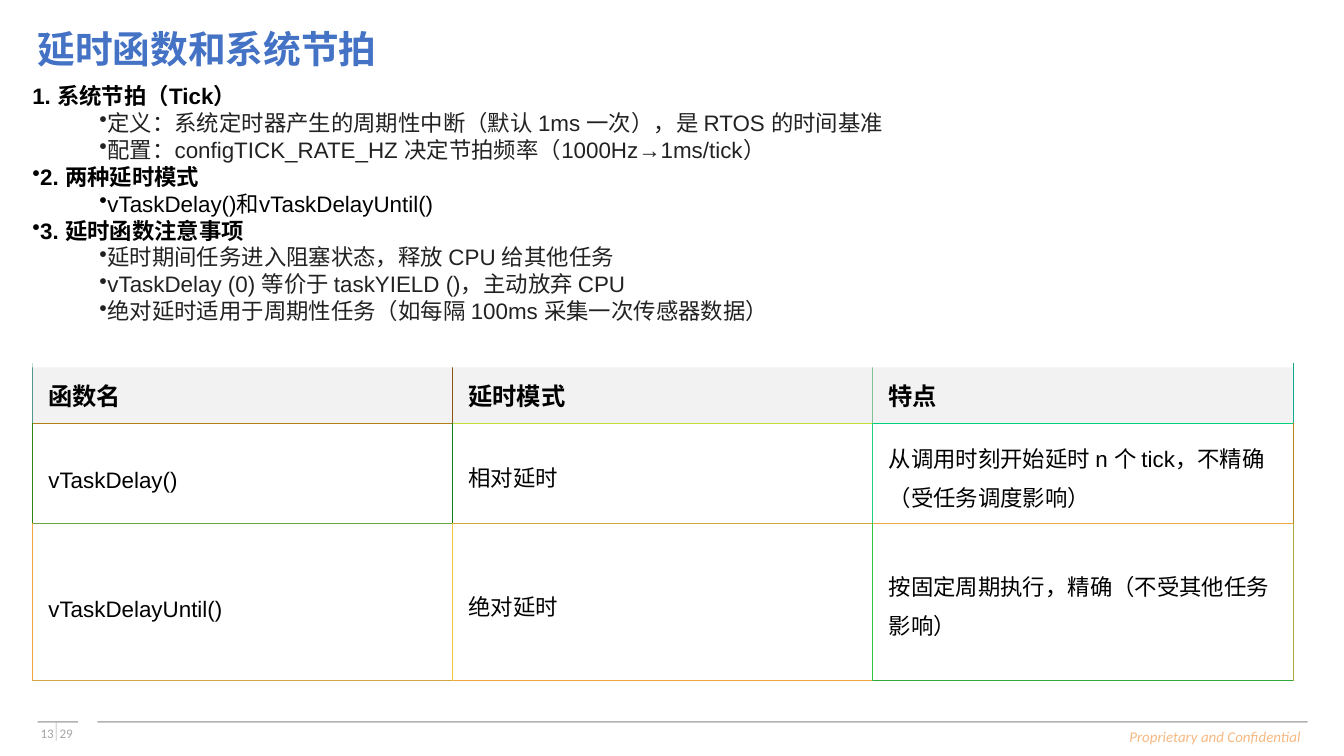
from collections import namedtuple

from lxml.etree import SubElement
from pptx import Presentation
from pptx.dml.color import RGBColor
from pptx.enum.shapes import MSO_SHAPE
from pptx.enum.text import MSO_ANCHOR, PP_ALIGN
from pptx.oxml.ns import qn
from pptx.util import Inches, Pt

Box = namedtuple("Box", "left top width height")
SLIDE = Box(0, 0, Inches(10), Inches(5.625))
HEADING = {"name": "Arial", "size": Pt(12), "bold": True, "color": "000000"}
PLAIN = {**HEADING, "bold": False}
DETAIL = {**PLAIN, "color": "222222"}
TITLE = {**HEADING, "size": Pt(20.2), "color": "4472C4"}
TABLE_HEAD = {**HEADING, "size": Pt(13)}
PAGE_NUMBER = {"name": "Calibri", "size": Pt(7), "color": "A6A6A6"}
NOTICE = {"name": "Calibri", "size": Pt(8), "italic": True, "color": "F6B982"}

OUTLINE = [
    ("1. 系统节拍（Tick）", 0, False, HEADING),
    ("定义：系统定时器产生的周期性中断（默认 1ms 一次），是 RTOS 的时间基准", 1, True, DETAIL),
    ("配置：configTICK_RATE_HZ 决定节拍频率（1000Hz→1ms/tick）", 1, True, DETAIL),
    ("2. 两种延时模式", 0, True, HEADING),
    ("vTaskDelay()和vTaskDelayUntil()", 1, True, PLAIN),
    ("3. 延时函数注意事项", 0, True, HEADING),
    ("延时期间任务进入阻塞状态，释放 CPU 给其他任务", 1, True, DETAIL),
    ("vTaskDelay (0) 等价于 taskYIELD ()，主动放弃 CPU", 1, True, DETAIL),
    ("绝对延时适用于周期性任务（如每隔 100ms 采集一次传感器数据）", 1, True, DETAIL),
]
FUNCTIONS = [
    ["函数名", "延时模式", "特点"],
    ["vTaskDelay()", "相对延时", "从调用时刻开始延时 n 个 tick，不精确（受任务调度影响）"],
    ["vTaskDelayUntil()", "绝对延时", "按固定周期执行，精确（不受其他任务影响）"],
]
ROW_HEIGHTS = [0.36, 0.62, 1.17]
VERTICAL_EDGES = [
    ["509A8D", "905411", "80C195", "10AB8D"],
    ["308414", "108014", "20D17D", "B08314"],
    ["F0A73E", "F0C63E", "30C73E", "B0A73E"],
]
HORIZONTAL_EDGES = [
    ["D0488E", "F04911", "C0C095"],
    ["B08314", "C0DF35", "00D17D"],
    ["70A63E", "D0A73E", "F0A73E"],
    ["D0A73E", "F0A73E", "30A83E"],
]


def rgb(value):
    """Turn a hex string into a colour."""
    return RGBColor.from_string(value)


def part(box, left, top, width, height):
    """Return the part of a box given in percent of its size."""
    return Box(
        round(box.left + box.width * left / 100),
        round(box.top + box.height * top / 100),
        round(box.width * width / 100),
        round(box.height * height / 100),
    )


def style(paragraph, font_format):
    """Apply a dict of format values to the font of a paragraph."""
    for name, value in font_format.items():
        if name == "color":
            paragraph.font.color.rgb = rgb(value)
        else:
            setattr(paragraph.font, name, value)


def set_frame(frame, margin, anchor, wrap=True):
    """Set equal margins, anchor and wrapping of a text frame."""
    for side in ("left", "top", "right", "bottom"):
        setattr(frame, f"margin_{side}", Inches(margin))
    frame.vertical_anchor = anchor
    frame.word_wrap = wrap


def add_line_of_text(slide, box, text, font_format, alignment, margin=0, wrap=True):
    """Add a text box with one paragraph and return the paragraph."""
    frame = slide.shapes.add_textbox(*box).text_frame
    set_frame(frame, margin, MSO_ANCHOR.MIDDLE, wrap)
    paragraph = frame.paragraphs[0]
    paragraph.text = text
    paragraph.alignment = alignment
    style(paragraph, font_format)
    return paragraph


def add_panel(slide, box, color):
    """Add a plain filled rectangle."""
    shape = slide.shapes.add_shape(MSO_SHAPE.RECTANGLE, *box)
    shape.shadow.inherit = False
    shape.fill.solid()
    shape.fill.fore_color.rgb = rgb(color)
    shape.line.fill.background()
    return shape


def add_title(slide, box):
    """Place the slide title."""
    paragraph = add_line_of_text(slide, box, "延时函数和系统节拍", TITLE, PP_ALIGN.LEFT, 0.04)
    paragraph.line_spacing = 0.9


def add_outline(slide, box):
    """Place the numbered headings and their bullets."""
    frame = add_panel(slide, box, "FFFFFF").text_frame
    set_frame(frame, 0, MSO_ANCHOR.TOP)
    for index, (text, level, bulleted, font_format) in enumerate(OUTLINE):
        paragraph = frame.add_paragraph() if index else frame.paragraphs[0]
        paragraph.text = text
        paragraph.level = level
        paragraph.alignment = PP_ALIGN.LEFT
        properties = paragraph._p.get_or_add_pPr()
        properties.set("marL", str(Inches(0.5) * level))
        properties.set("indent", "0")
        if bulleted:
            SubElement(properties, qn("a:buChar"), char="•")
        style(paragraph, font_format)


def set_borders(cell, colors):
    """Draw the left, right, top and bottom borders of a cell."""
    properties = cell._tc.get_or_add_tcPr()
    for index, (side, color) in enumerate(zip("LRTB", colors)):
        line = properties.makeelement(qn(f"a:ln{side}"), {"w": str(Pt(0.33))})
        fill = SubElement(line, qn("a:solidFill"))
        SubElement(fill, qn("a:srgbClr"), val=color)
        properties.insert(index, line)


def add_function_table(slide, box):
    """Place the table that compares the delay functions."""
    table = slide.shapes.add_table(len(FUNCTIONS), len(FUNCTIONS[0]), *box).table
    for row, texts in enumerate(FUNCTIONS):
        table.rows[row].height = Inches(ROW_HEIGHTS[row])
        for column, text in enumerate(texts):
            cell = table.cell(row, column)
            cell.margin_left = cell.margin_right = Inches(0.12)
            cell.margin_top = cell.margin_bottom = Inches(0.08)
            cell.vertical_anchor = MSO_ANCHOR.MIDDLE
            if row:
                cell.fill.background()
            else:
                cell.fill.solid()
                cell.fill.fore_color.rgb = rgb("F2F2F2")
            paragraph = cell.text_frame.paragraphs[0]
            paragraph.text = text
            paragraph.line_spacing = Pt(21)
            style(paragraph, PLAIN if row else TABLE_HEAD)
            sides = VERTICAL_EDGES[row][column:column + 2]
            ends = [edges[column] for edges in HORIZONTAL_EDGES[row:row + 2]]
            set_borders(cell, sides + ends)


def add_footer(slide, box):
    """Place the rules, the page numbers and the notice."""
    add_panel(slide, part(box, 1.43, 3, 0.1, 63), "D9D9D9")
    for left, width in ((0, 3.17), (4.7, 95.3)):
        add_panel(slide, part(box, left, 0, width, 5), "B2B2B2")
    for left, number in ((0, "13"), (1.5, "29")):
        add_line_of_text(slide, part(box, left, 5, 1.5, 72), number, PAGE_NUMBER, PP_ALIGN.CENTER)
    add_line_of_text(slide, part(box, 85.1, 5, 14.8, 95), "Proprietary and Confidential",
                     NOTICE, PP_ALIGN.RIGHT, 0.04, False)


def main():
    """Build and save the presentation."""
    presentation = Presentation()
    presentation.slide_width, presentation.slide_height = SLIDE.width, SLIDE.height
    slide = presentation.slides.add_slide(presentation.slide_layouts[6])
    add_footer(slide, part(SLIDE, 2.8, 95.4, 94.5, 3.9))
    add_title(slide, part(SLIDE, 2.4, 2.3, 95.6, 9.1))
    add_function_table(slide, part(SLIDE, 2.4, 48, 93.8, 38.2))
    add_outline(slide, part(SLIDE, 2.4, 10.9, 93.8, 37.7))
    presentation.save("out.pptx")


if __name__ == "__main__":
    main()
